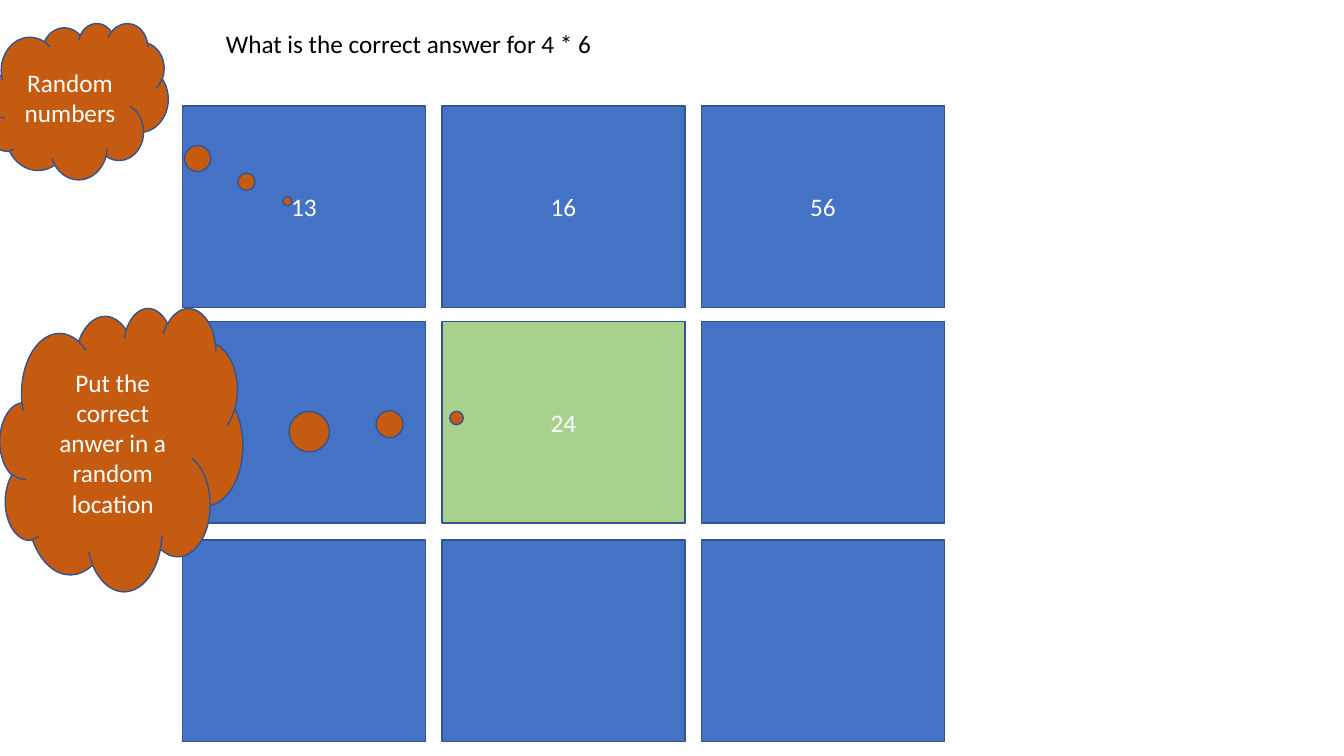
from pptx import Presentation
from pptx.dml.color import RGBColor
from pptx.enum.shapes import MSO_SHAPE
from pptx.enum.text import MSO_ANCHOR, MSO_AUTO_SIZE, PP_ALIGN
from pptx.util import Cm, Pt

RECTANGLE = MSO_SHAPE.RECTANGLE
CLOUD = MSO_SHAPE.CLOUD_CALLOUT
MIDDLE, TOP = MSO_ANCHOR.MIDDLE, MSO_ANCHOR.TOP
CENTER, LEFT = PP_ALIGN.CENTER, PP_ALIGN.LEFT
NO_AUTOFIT = MSO_AUTO_SIZE.NONE
TITLE_ONLY = 5

BLUE, GREEN, ORANGE = "4472C4", "A9D18E", "C55A11"
OUTLINE, WHITE, BLACK = "325491", "FFFFFF", "000000"

QUESTION = "What is the correct answer for 4 * 6"
CORRECT_ANSWER = "24"
ANSWERS = [
    ["13", "16", "56"],
    ["", CORRECT_ANSWER, ""],
    ["", "", ""],
]
HINTS = [
    ("Random numbers", (-0.38, 0.58, 4.62, 3.94), (1.15, 0.64)),
    ("Put the correct anwer in a random location", (0, 7.75, 6.12, 7.14), (1.38, -0.11)),
]

CARD_WIDTH, CARD_HEIGHT = 6.12, 5.08
GRID_LEFT, COLUMN_STEP = 4.6, 6.54
ROW_TOPS = (2.67, 8.1, 13.61)


def color(value):
    return RGBColor.from_string(value)


def write_text(shape, text, font_color=WHITE, align=CENTER, anchor=MIDDLE):
    frame = shape.text_frame
    frame.word_wrap = True
    frame.auto_size = NO_AUTOFIT
    frame.vertical_anchor = anchor
    paragraph = frame.paragraphs[0]
    paragraph.alignment = align
    if text:
        run = paragraph.add_run()
        run.text = text
        run.font.name = "Calibri"
        run.font.size = Pt(18)
        run.font.color.rgb = color(font_color)


def add_filled_shape(slide, kind, box, text, fill):
    shape = slide.shapes.add_shape(kind, *map(Cm, box))
    shape.shadow.inherit = False
    shape.fill.solid()
    shape.fill.fore_color.rgb = color(fill)
    shape.line.color.rgb = color(OUTLINE)
    shape.line.width = Pt(1)
    write_text(shape, text)
    return shape


presentation = Presentation()
presentation.slide_width = Cm(33.87)
presentation.slide_height = Cm(19.05)
slide = presentation.slides.add_slide(presentation.slide_layouts[TITLE_ONLY])

title = slide.shapes.title
title.left, title.top, title.width, title.height = map(Cm, (5.44, 0.58, 16.59, 1.03))
write_text(title, QUESTION, font_color=BLACK, align=LEFT, anchor=TOP)

for top, row in zip(ROW_TOPS, ANSWERS):
    for column, answer in enumerate(row):
        box = (GRID_LEFT + column * COLUMN_STEP, top, CARD_WIDTH, CARD_HEIGHT)
        fill = GREEN if answer == CORRECT_ANSWER else BLUE
        add_filled_shape(slide, RECTANGLE, box, answer, fill)

for hint, box, tail in HINTS:
    cloud = add_filled_shape(slide, CLOUD, box, hint, ORANGE)
    cloud.adjustments[0], cloud.adjustments[1] = tail

presentation.save("out.pptx")
